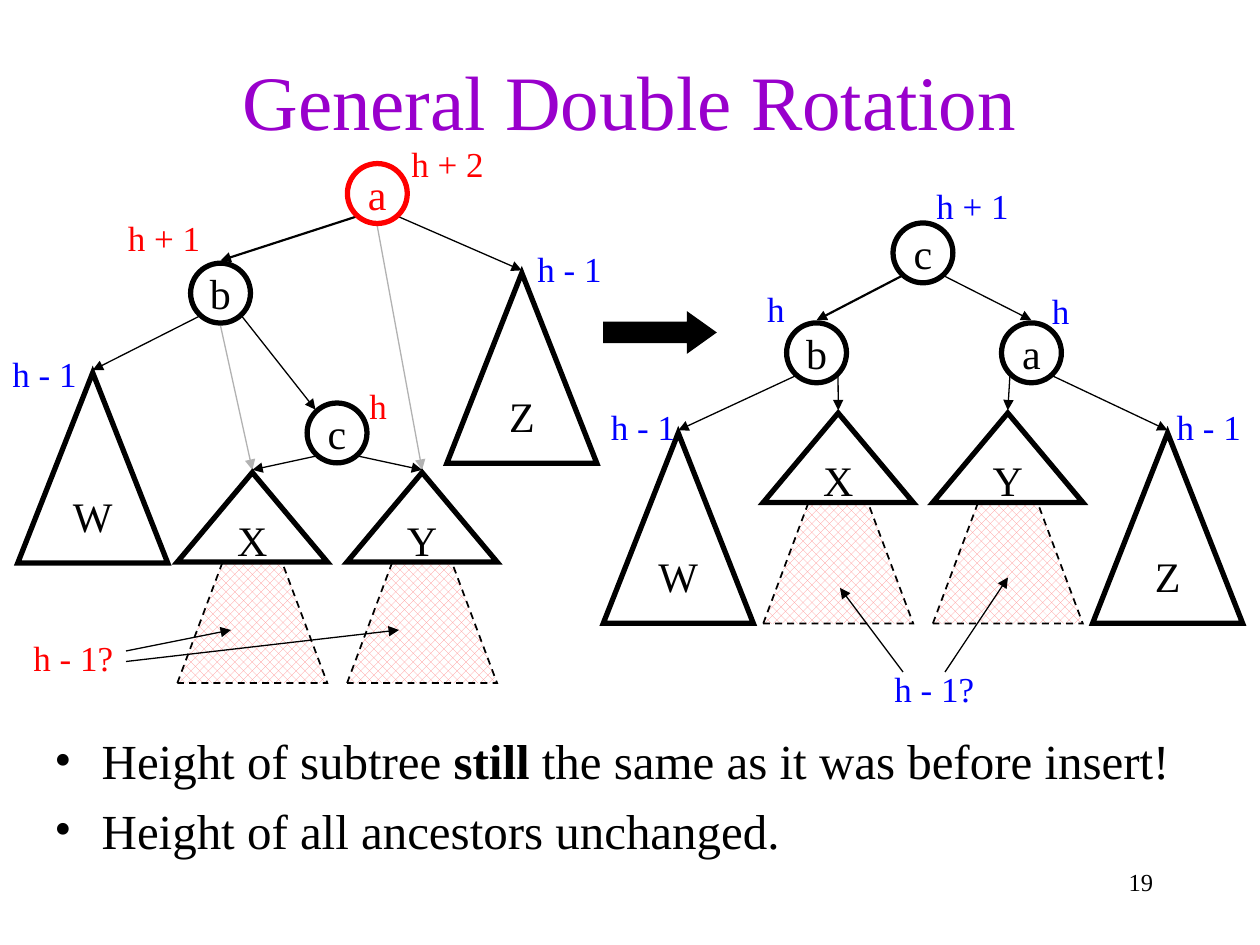
import pptx
import pptx.util
import pptx.dml.color
import pptx.enum.dml
import pptx.enum.shapes
import pptx.enum.text
import pptx.oxml.ns
from lxml import etree

Pt = pptx.util.Pt
RGBColor = pptx.dml.color.RGBColor
SHAPE = pptx.enum.shapes.MSO_SHAPE
ALIGN = pptx.enum.text.PP_ALIGN
ANCHOR = pptx.enum.text.MSO_ANCHOR
FIT = pptx.enum.text.MSO_AUTO_SIZE
qn = pptx.oxml.ns.qn

FONT = "Times New Roman"
BLACK = RGBColor(0, 0, 0)
WHITE = RGBColor(255, 255, 255)
RED = RGBColor(255, 0, 0)
BLUE = RGBColor(0, 0, 255)
PURPLE = RGBColor(0x99, 0, 0xCC)
GRAY = RGBColor(0xB2, 0xB2, 0xB2)
PINK = RGBColor(0xFF, 0x91, 0x91)

# Content
TITLE = "General Double Rotation"
BULLETS = [
    [("Height of subtree ", False), ("still", True),
     (" the same as it was before insert!", False)],
    [("Height of all ancestors unchanged.", False)],
]
PAGE_NUMBER = "19"

# Nodes: centre and colour. Subtrees: apex. Edges: parent, child, side, width.
TREES = [
    {"nodes": {"a": (215.6, 110.6, RED), "b": (126, 167.5, BLACK), "c": (192.6, 247.4, BLACK)},
     "tall": {"W": (53, 213), "Z": (298.2, 156)},
     "short": {"X": (144.2, 270), "Y": (241.2, 270)},
     "edges": [("a", "b", -1, 1.25), ("a", "Z", 1, 0.75), ("b", "W", -1, 0.75),
               ("c", "X", -1, 0.75), ("c", "Y", 1, 0.75)],
     "inner_edges": [("b", "c")],
     "old_edges": [("b", "X"), ("a", "Y")]},
    {"nodes": {"c": (527.4, 144.5, BLACK), "b": (466.6, 201.6, BLACK),
               "a": (589.4, 201.6, BLACK)},
     "tall": {"W": (387.6, 247.4), "Z": (667.2, 247.4)},
     "short": {"X": (479, 236), "Y": (575.9, 236)},
     "edges": [("c", "b", -1, 1.25), ("c", "a", 1, 0.75), ("b", "W", -1, 0.75),
               ("b", "X", 1, 0.75), ("a", "Y", -1, 0.75), ("a", "Z", 1, 0.75)],
     "inner_edges": [],
     "old_edges": []},
]
HEIGHTS = [  # text, left, top, width, colour
    ("h", 204, 216, 24.5, RED), ("h - 1?", 12, 360, 60, RED),
    ("h - 1", 0, 198, 51, BLUE), ("h - 1", 300, 138, 51, BLUE),
    ("h + 2", 228, 78, 56, RED), ("h + 1", 66, 120, 56, RED),
    ("h - 1", 665.3, 228, 51, BLUE), ("h - 1", 342, 228, 51, BLUE),
    ("h", 594, 162, 24.5, BLUE), ("h + 1", 528, 102, 56, BLUE),
    ("h", 431.3, 160.5, 24.5, BLUE), ("h - 1?", 504, 378, 60, BLUE),
]
POINTERS = [  # from, to
    ((72, 372), (132, 360)), ((72, 378), (228, 360)),
    ((516, 384), (480, 336)), ((540, 384), (576, 330)),
]

NODE = 34.2
DIAGONAL = 12.3  # from a node's centre to its rim at 45 degrees
GAP = 1.5
SUBTREE_WIDTH, TALL, SHORT = 85.7, 108.7, 51.1
TAIL_DROP, TAIL_HEIGHT = 5.8, 114.5

deck = pptx.Presentation()
deck.slide_width, deck.slide_height = Pt(720), Pt(540)
slide = deck.slides.add_slide(deck.slide_layouts[6])


def apply(target, formats):
    for name, value in formats.items():
        setattr(target, name, value)


def add_run(paragraph, words, size, color, bold=None):
    run = paragraph.add_run()
    run.text = words
    apply(run.font, {"name": FONT, "size": Pt(size), "bold": bold})
    run.font.color.rgb = color


def add_label(words, box, size, color, align=ALIGN.LEFT, **frame_formats):
    frame = slide.shapes.add_textbox(*map(Pt, box)).text_frame
    apply(frame, {"word_wrap": True} | frame_formats)
    frame.paragraphs[0].alignment = align
    add_run(frame.paragraphs[0], words, size, color)


def add_figure(kind, box, fill=None, line=BLACK, width=3, words=None):
    figure = slide.shapes.add_shape(kind, *map(Pt, box))
    figure.shadow.inherit = False
    if fill is None:
        figure.fill.background()
    else:
        figure.fill.solid()
        figure.fill.fore_color.rgb = fill
    figure.line.color.rgb = line
    figure.line.width = Pt(width)
    etree.SubElement(figure.line._get_or_add_ln(), qn("a:miter"), lim="800000")
    if words:
        frame = figure.text_frame
        apply(frame, {"word_wrap": False, "vertical_anchor": ANCHOR.MIDDLE})
        frame.paragraphs[0].alignment = ALIGN.CENTER
        add_run(frame.paragraphs[0], words, 24, line)
    return figure


def add_arrow(start, end, width=0.75, color=BLACK):
    arrow = slide.shapes.add_connector(
        pptx.enum.shapes.MSO_CONNECTOR.STRAIGHT, *map(Pt, (*start, *end)))
    arrow.line.color.rgb = color
    arrow.line.width = Pt(width)
    etree.SubElement(arrow.line._get_or_add_ln(), qn("a:tailEnd"), type="triangle")
    etree.SubElement(arrow._element.spPr, qn("a:effectLst"))


def add_subtree(apex, height, **formats):
    x, y = apex
    box = (x - SUBTREE_WIDTH / 2, y, SUBTREE_WIDTH, height)
    return add_figure(SHAPE.ISOSCELES_TRIANGLE, box, **formats)


def add_tree(tree):
    nodes = tree["nodes"]
    tops = {name: (x, y - NODE / 2 - GAP) for name, (x, y, _) in nodes.items()}
    for name, (x, y) in (tree["tall"] | tree["short"]).items():
        tops[name] = (x, y - GAP)

    for parent, child in tree["old_edges"]:
        x, y, _ = nodes[parent]
        add_arrow((x, y + NODE / 2 + GAP), tops[child], color=GRAY)
    for parent, child, side, width in tree["edges"]:
        x, y, _ = nodes[parent]
        add_arrow((x + side * DIAGONAL, y + DIAGONAL + 1), tops[child], width)
    for parent, child in tree["inner_edges"]:
        (x, y, _), (child_x, child_y, _) = nodes[parent], nodes[child]
        add_arrow((x + DIAGONAL, y + DIAGONAL + 1),
                  (child_x - DIAGONAL, child_y - DIAGONAL - 1))

    for name, (x, y, color) in nodes.items():
        add_figure(SHAPE.OVAL, (x - NODE / 2, y - NODE / 2, NODE, NODE),
                   line=color, words=name)
    for name, apex in tree["tall"].items():
        add_subtree(apex, TALL, words=name)
    for name, (x, y) in tree["short"].items():
        # Dashed part that may reach one level deeper
        tail = add_subtree((x, y + TAIL_DROP), TAIL_HEIGHT, width=1)
        tail.line.dash_style = pptx.enum.dml.MSO_LINE.DASH
        tail.fill.patterned()
        tail.fill.pattern = pptx.enum.dml.MSO_PATTERN.PERCENT_50
        tail.fill.fore_color.rgb = PINK
        tail.fill.back_color.rgb = WHITE
        add_subtree((x, y), SHORT, fill=WHITE, words=name)


# Title
add_label(TITLE, (54, 12, 612, 90), 44, PURPLE, ALIGN.CENTER, vertical_anchor=ANCHOR.MIDDLE)

# Bullets
bullet_frame = slide.shapes.add_textbox(*map(Pt, (24, 414, 666, 90))).text_frame
bullet_frame.word_wrap = True
for index, pieces in enumerate(BULLETS):
    bullet = bullet_frame.add_paragraph() if index else bullet_frame.paragraphs[0]
    properties = bullet._p.get_or_add_pPr()
    for name, indent in {"marL": 27, "indent": -27}.items():
        properties.set(name, str(Pt(indent)))
    etree.SubElement(properties, qn("a:buFont"), typeface=FONT)
    etree.SubElement(properties, qn("a:buChar"), char="•")
    if index:
        bullet.space_before = Pt(6)
    for words, bold in pieces:
        add_run(bullet, words, 28, BLACK, bold)

# Trees before and after the rotation
for tree in TREES:
    add_tree(tree)
rotation = add_figure(SHAPE.RIGHT_ARROW, (345, 178.5, 64, 23), fill=BLACK, width=0.75)
rotation.adjustments[1] = 0.7

# Height labels and their pointers
for words, left, top, width, color in HEIGHTS:
    add_label(words, (left, top, width, 31), 20, color,
              word_wrap=False, auto_size=FIT.SHAPE_TO_FIT_TEXT)
for start, end in POINTERS:
    add_arrow(start, end)

# Page number
add_label(PAGE_NUMBER, (516, 492, 150, 36), 14, BLACK, ALIGN.RIGHT)

deck.save("out.pptx")
